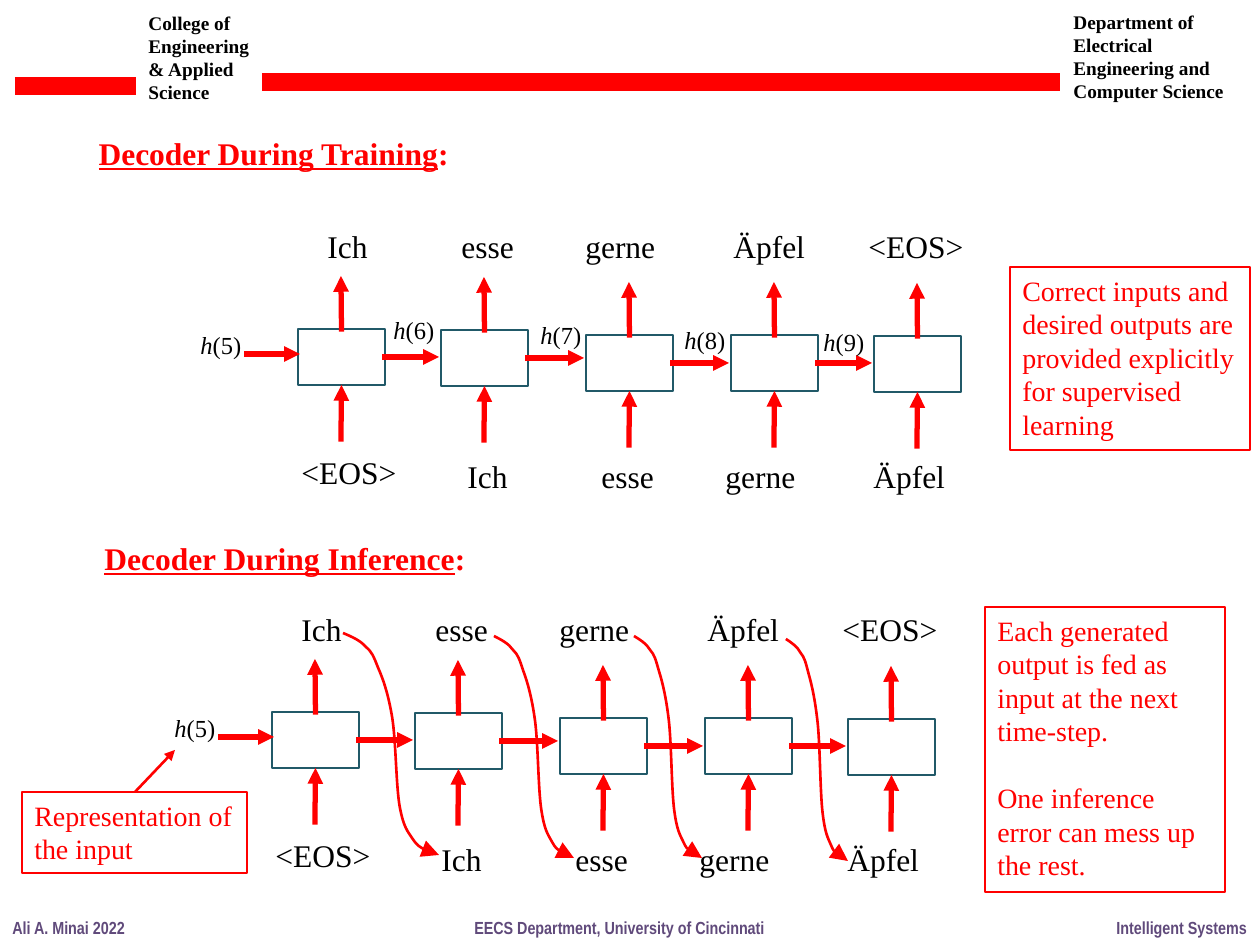
from lxml.etree import SubElement
from pptx import Presentation
from pptx.dml.color import RGBColor
from pptx.enum.shapes import MSO_CONNECTOR as CONNECTOR, MSO_SHAPE as SHAPE
from pptx.enum.text import MSO_ANCHOR as ANCHOR, MSO_AUTO_SIZE as AUTO_SIZE, PP_ALIGN as ALIGN
from pptx.oxml.ns import qn
from pptx.util import Pt

PX = 7257
COLORS = {"red": "FF0000", "black": "000000", "teal": "215968", "purple": "604A7B"}
SERIF = "Times New Roman"

presentation = Presentation()
presentation.slide_width = 1260 * PX
presentation.slide_height = 945 * PX
slide = presentation.slides.add_slide(presentation.slide_layouts[5])
shapes = slide.shapes


def write_text(shape, paragraphs, size, color, font=SERIF, bold=False, wrap=False):
    frame = shape.text_frame
    frame.word_wrap = wrap
    frame.auto_size = AUTO_SIZE.NONE
    frame.vertical_anchor = ANCHOR.TOP
    for index, pieces in enumerate(paragraphs):
        paragraph = frame.add_paragraph() if index else frame.paragraphs[0]
        paragraph.alignment = ALIGN.LEFT
        for piece in pieces:
            run = paragraph.add_run()
            run.text = piece
            run.font.size = Pt(size)
            run.font.name = font
            run.font.bold = bold
            run.font.color.rgb = RGBColor.from_string(COLORS[color])
    return frame


def add_line(start_x, start_y, end_x, end_y, width=3, arrow=True, cap="sq"):
    line = shapes.add_connector(
        CONNECTOR.STRAIGHT, start_x * PX, start_y * PX, end_x * PX, end_y * PX)
    line.line.color.rgb = RGBColor.from_string(COLORS["red"])
    line.line.width = Pt(width)
    outline = line.line._get_or_add_ln()
    outline.set("cap", cap)
    if arrow:
        SubElement(outline, qn("a:tailEnd"), type="triangle")
    SubElement(line._element.spPr, qn("a:effectLst"))
    return line


add_line(15, 86, 136, 86, width=10, arrow=False, cap="flat")
add_line(262, 82, 1060, 82, width=10, arrow=False, cap="flat")

for left, top, width, paragraphs in [
    (136, 5, 137, [["College of Engineering & Applied"], ["Science"]]),
    (1061, 4, 185, [["Department of Electrical Engineering and Computer Science"]]),
]:
    box = shapes.add_textbox(left * PX, top * PX, width * PX, 106 * PX)
    write_text(box, paragraphs, 11, "black", bold=True, wrap=True)

for left, width, text in [
    (0, 139, "Ali A. Minai 2022"),
    (462, 318, "EECS Department, University of Cincinnati"),
    (1104, 156, "Intelligent Systems"),
]:
    box = shapes.add_textbox(left * PX, 911 * PX, width * PX, 34 * PX)
    write_text(box, [[text]], 10, "purple", font="Arial Narrow", bold=True)

title = shapes.title
title.left, title.top, title.width, title.height = 86 * PX, 128 * PX, 379 * PX, 50 * PX
subtitle = shapes.add_textbox(92 * PX, 533 * PX, 397 * PX, 50 * PX)
for heading, text in [(title, "Decoder During Training"), (subtitle, "Decoder During Inference")]:
    frame = write_text(heading, [[text, ":"]], 18, "red", bold=True, wrap=True)
    frame.paragraphs[0].runs[0].font.underline = True

WORDS = ["Ich", "esse", "gerne", "Äpfel", "<EOS>"]
WORD_TABS = [134, 258, 406, 541]
CELLS = [(298, 329), (441, 330), (586, 335), (731, 335), (874, 336)]
CELL_WIDTH, CELL_HEIGHT = 87, 56
TRAINING_STATES = [(188, 324, 5), (381, 309, 6), (528, 314, 7), (672, 319, 8), (811, 321, 9)]

for shift_x, shift_y, states in [(0, 0, TRAINING_STATES), (-26, 383, TRAINING_STATES[:1])]:
    for index, (cell_x, cell_y) in enumerate(CELLS):
        left, top = cell_x + shift_x, cell_y + shift_y
        middle = left + CELL_WIDTH // 2
        cell = shapes.add_shape(
            SHAPE.RECTANGLE, left * PX, top * PX, CELL_WIDTH * PX, CELL_HEIGHT * PX)
        cell.shadow.inherit = False
        cell.fill.background()
        cell.line.color.rgb = RGBColor.from_string(COLORS["teal"])
        cell.line.width = Pt(1.5)
        add_line(middle, top, middle, top - 53).begin_connect(cell, 0)
        add_line(middle, top + 110, middle, top + CELL_HEIGHT).end_connect(cell, 2)
        if index < len(CELLS) - 1:
            center = top + CELL_HEIGHT // 2
            next_left = CELLS[index + 1][0] + shift_x
            add_line(left + CELL_WIDTH, center, next_left - 2, center).begin_connect(cell, 3)
    add_line(247 + shift_x, 354 + shift_y, 300 + shift_x, 354 + shift_y)

    for left, top, step in states:
        box = shapes.add_textbox(
            (left + shift_x) * PX, (top + shift_y) * PX, 67 * PX, 43 * PX)
        frame = write_text(box, [["h", f"({step})"]], 14, "black")
        frame.paragraphs[0].runs[0].font.italic = True

    for left, top, width, words in [
        (315, 221, 692, WORDS),
        (289, 447, 185, WORDS[-1:]),
        (455, 451, 509, WORDS[:-1]),
    ]:
        box = shapes.add_textbox(
            (left + shift_x) * PX, (top + shift_y) * PX, width * PX, 50 * PX)
        frame = write_text(box, [["\t".join(words)]], 18, "black", wrap=True)
        if len(words) > 1:
            tab_list = SubElement(frame.paragraphs[0]._p.get_or_add_pPr(), qn("a:tabLst"))
            for position in WORD_TABS[:len(words) - 1]:
                SubElement(tab_list, qn("a:tab"), pos=str(position * PX), algn="l")

CURVE = [
    (7, 3), (14, 6), (18, 11), (23, 15), (24, 18), (28, 28),
    (32, 37), (36, 49), (39, 67), (42, 86), (42, 122), (45, 138),
    (48, 154), (51, 157), (55, 163), (59, 169), (65, 172), (68, 174),
    (72, 176), (74, 176), (76, 176),
]
for left, top, width in [(343, 633, 96), (494, 636, 80), (634, 636, 68), (786, 639, 62)]:
    builder = shapes.build_freeform(left * PX, top * PX)
    builder.add_line_segments(
        [((left + x * width / 76) * PX, (top + y * 222 / 176) * PX) for x, y in CURVE],
        close=False)
    feedback = builder.convert_to_shape()
    segments = list(feedback._element.iter(qn("a:lnTo")))
    outline = segments[0].getparent()
    for first in range(0, len(segments), 3):
        bezier = SubElement(outline, qn("a:cubicBezTo"))
        for segment in segments[first:first + 3]:
            bezier.append(segment[0])
            outline.remove(segment)
    feedback.shadow.inherit = False
    feedback.fill.background()
    feedback.line.color.rgb = RGBColor.from_string(COLORS["red"])
    feedback.line.width = Pt(1.5)
    SubElement(feedback.line._get_or_add_ln(), qn("a:tailEnd"),
               type="triangle", w="lg", len="lg")

for left, top, width, height, paragraphs in [
    (1010, 267, 240, 183, [["Correct inputs and desired outputs are provided explicitly "
                            "for supervised learning"]]),
    (985, 607, 240, 285, [["Each generated output is fed as input at the next time-step."],
                          ["One inference error can mess up the rest."]]),
    (22, 792, 225, 81, [["Representation of the input"]]),
]:
    note = shapes.add_shape(SHAPE.RECTANGLE, left * PX, top * PX, width * PX, height * PX)
    note.shadow.inherit = False
    note.fill.background()
    note.line.color.rgb = RGBColor.from_string(COLORS["red"])
    note.line.width = Pt(0.75)
    frame = write_text(note, paragraphs, 16, "red", wrap=True)
    for paragraph in frame.paragraphs[1:]:
        paragraph.space_before = Pt(19)

add_line(135, 792, 175, 750, width=1.5, cap="flat")

presentation.save("out.pptx")
